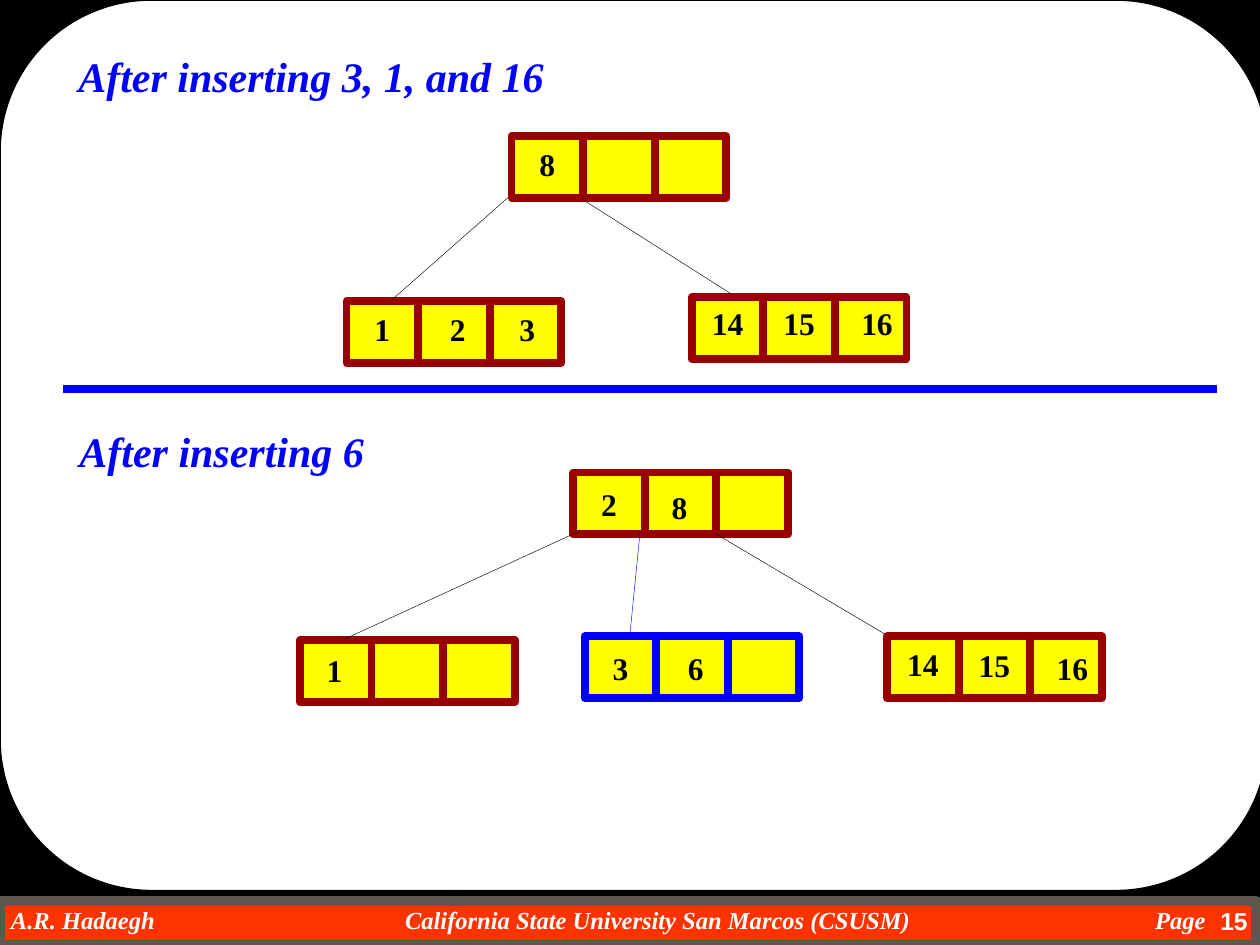
import pptx
import pptx.util
import pptx.dml.color
import pptx.enum.shapes
import pptx.enum.text
import lxml.etree

Pt = pptx.util.Pt
KIND = pptx.enum.shapes.MSO_SHAPE
ALIGN = pptx.enum.text.PP_ALIGN
MID = pptx.enum.text.MSO_ANCHOR.MIDDLE
SERIF = "Times New Roman"
HUES = {"black": "000000", "white": "FFFFFF", "blue": "0000FF", "red": "990000",
        "yellow": "FFFF00", "orange": "FF3300", "gray": "5E574E"}

HEADS = [("After inserting 3, 1, and 16", 37.4, 25.2, 280.8),
         ("After inserting 6", 38.2, 239.8, 177.1)]
FOOT = [("A.R. Hadaegh", 6.3, 150, ALIGN.LEFT),
        ("California State University San Marcos (CSUSM)", 206, 340, ALIGN.CENTER),
        ("Page", 589, 100, ALIGN.RIGHT)]
CELL_W, CELL_H, SLOTS = 40.9, 35.3, 3
# left, top, edge, keys as (text, shift right, shift down) from the cell centre
NODES = [
    (292.3, 77.8, "red", [("8", 0, -1.8)]),
    (198, 172.1, "red", [("1", 0, -1.8), ("2", 2.2, -1.8), ("3", 1, -1.8)]),
    (395.3, 169.9, "red", [("14", 0, -3.2), ("15", 0, -3.2), ("16", 3.6, -3.2)]),
    (327.6, 270, "red", [("2", 0, 0.4), ("8", -0.7, 1.8)]),
    (171.4, 365.8, "red", [("1", -0.7, -0.4)]),
    (334.1, 363.6, "blue", [("3", 0, 0.4), ("6", 2.2, 0.4)]),
    (506.9, 363.6, "red", [("14", 0, -1.8), ("15", 0, -1.1), ("16", 3.6, 0.4)]),
]
LINKS = [
    (290.2, 113, 223.9, 171.4, "black", 0.25),
    (332.6, 113.8, 417.6, 167.8, "black", 0.25),
    (330.5, 303.8, 197.3, 365, "black", 0.25),
    (365.8, 303.8, 360, 362.2, "blue", 0.25),
    (408.2, 304.6, 505.4, 362.2, "black", 0.25),
    (36, 222.5, 695.5, 222.5, "blue", 4.5),
]


def rgb(hue):
    return pptx.dml.color.RGBColor.from_string(HUES[hue])


def block(home, kind, x, y, w, h, fill, edge, thick):
    shape = home.add_shape(kind, Pt(x), Pt(y), Pt(w), Pt(h))
    shape.shadow.inherit = False
    shape.fill.solid()
    shape.fill.fore_color.rgb = rgb(fill)
    shape.line.color.rgb = rgb(edge)
    shape.line.width = Pt(thick)
    return shape


def write(shape, text, size, hue, align, face=SERIF, slant=False, wrap=False):
    frame = shape.text_frame
    frame.word_wrap = wrap
    frame.auto_size = pptx.enum.text.MSO_AUTO_SIZE.NONE
    frame.vertical_anchor = MID
    frame.text = text
    para = frame.paragraphs[0]
    para.alignment = align
    font = para.font
    font.name, font.size, font.bold, font.italic = face, Pt(size), True, slant
    font.color.rgb = rgb(hue)


def box(x, y, w, h):
    return shapes.add_textbox(Pt(x), Pt(y), Pt(w), Pt(h))


def node(x, y, edge, keys):
    group = shapes.add_group_shape()
    for i in range(SLOTS):
        block(group.shapes, KIND.RECTANGLE, x + i * CELL_W, y, CELL_W, CELL_H,
              "yellow", edge, 4.5)
    for i, (text, dx, dy) in enumerate(keys):
        wide, high = 14.8 + 9 * len(text), 28.8
        left = x + (i + 0.5) * CELL_W - wide / 2 + dx
        label = box(left, y + (CELL_H - high) / 2 + dy, wide, high)
        write(label, text, 18, "black", ALIGN.CENTER)


def link(x1, y1, x2, y2, hue, thick):
    line = shapes.add_connector(pptx.enum.shapes.MSO_CONNECTOR.STRAIGHT,
                                Pt(x1), Pt(y1), Pt(x2), Pt(y2))
    line.line.color.rgb = rgb(hue)
    line.line.width = Pt(thick)
    props = line._element.spPr
    lxml.etree.SubElement(props, pptx.oxml.ns.qn("a:effectLst"))


deck = pptx.Presentation()
deck.slide_width, deck.slide_height = Pt(720), Pt(540)
slide = deck.slides.add_slide(deck.slide_layouts[5])
shapes = slide.shapes
slide.background.fill.solid()
slide.background.fill.fore_color.rgb = rgb("black")

block(shapes, KIND.RECTANGLE, 0, 514.8, 717.8, 25.2, "orange", "gray", 6)
panel = block(shapes, KIND.ROUNDED_RECTANGLE, 0, 0, 724.3, 509, "white", "black", 1)
panel.adjustments[0] = 0.17
for text, x, w, align in FOOT:
    label = box(x, 517, w, 16.6)
    write(label, text, 14, "white", align, slant=True)
    frame = label.text_frame
    frame.margin_left = frame.margin_right = frame.margin_top = frame.margin_bottom = 0
write(box(666, 512.6, 54, 27.4), "15", 14, "white", ALIGN.RIGHT, "Arial", wrap=True)

title = shapes.title
shapes._spTree.append(title._element)  # lift the title above the panel
for i, (text, x, y, w) in enumerate(HEADS):
    head = box(x, y, w, 36) if i else title
    head.left, head.top, head.width, head.height = Pt(x), Pt(y), Pt(w), Pt(36)
    write(head, text, 24, "blue", ALIGN.CENTER, slant=True)

for item in NODES:
    node(*item)
for item in LINKS:
    link(*item)

deck.save("out.pptx")
